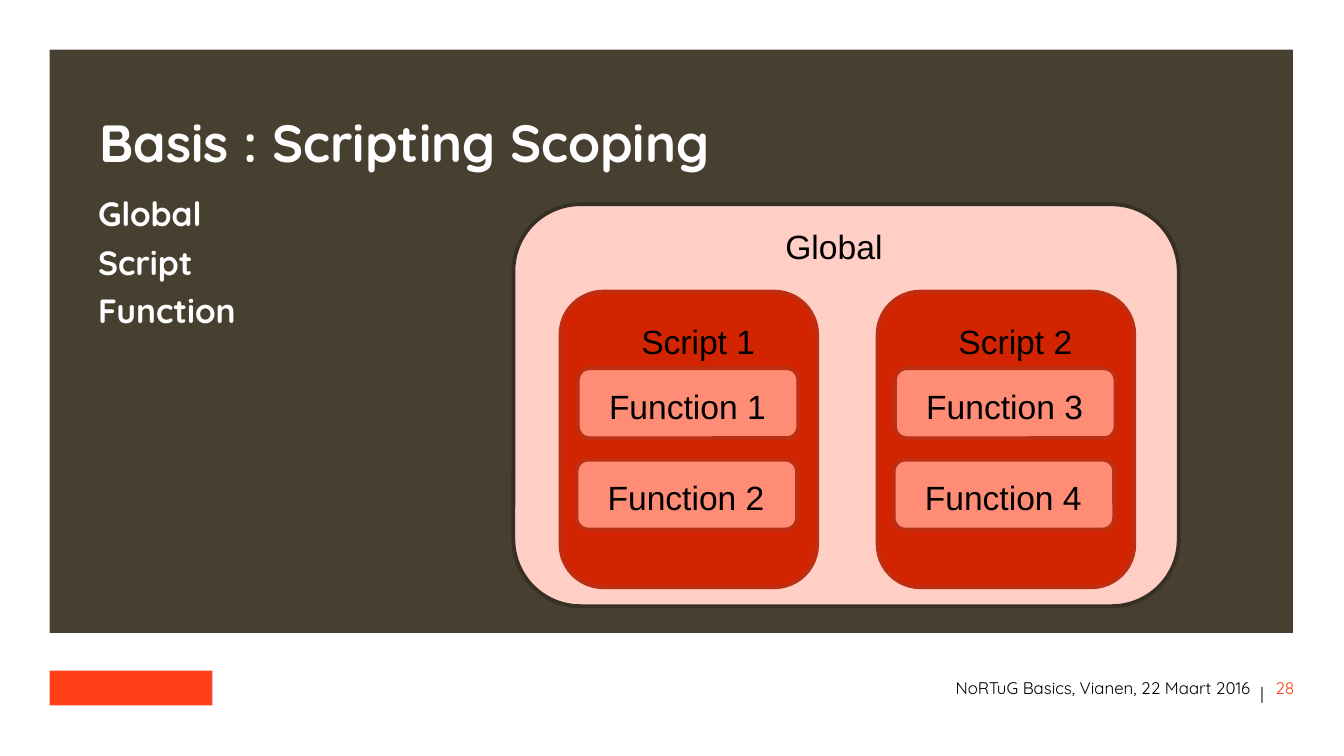
from dataclasses import dataclass

from pptx import Presentation
from pptx.dml.color import RGBColor
from pptx.enum import shapes, text
from pptx.util import Inches, Pt


@dataclass(frozen=True)
class Theme:
    panel: str = "474030"
    accent: str = "FF4019"
    white: str = "FFFFFF"
    black: str = "000000"
    global_fill: str = "FFCFC5"
    global_line: str = "352F24"
    script_fill: str = "D22400"
    function_fill: str = "FF8C75"
    inner_line: str = "BD2F12"
    brand_font: str = "Quicksand"
    label_font: str = "Arial"
    title_size: int = 28
    body_size: int = 18
    footer_size: int = 9


@dataclass(frozen=True)
class Box:
    left: float
    top: float
    width: float
    height: float


@dataclass(frozen=True)
class TextStyle:
    size: int
    color: str
    font: str = Theme.brand_font
    bold: bool = False
    align: text.PP_ALIGN = text.PP_ALIGN.LEFT
    line_pt: float | None = None
    after_pt: float = 0
    inset: tuple[float, float] = (0, 0)


@dataclass(frozen=True)
class Script:
    name: str
    left: float
    functions: tuple[str, ...]


THEME = Theme()
ALIGN = text.PP_ALIGN
TITLE = TextStyle(THEME.title_size, THEME.white, bold=True, line_pt=50)
BODY = TextStyle(THEME.body_size, THEME.white, bold=True, line_pt=20, after_pt=6)
LABEL = TextStyle(THEME.body_size, THEME.black, THEME.label_font,
                  align=ALIGN.CENTER, inset=(0.1, 0.05))
FOOTER = TextStyle(THEME.footer_size, THEME.black, align=ALIGN.RIGHT, line_pt=14)
BAR = TextStyle(THEME.footer_size, THEME.black, align=ALIGN.CENTER, line_pt=14)
PAGE = TextStyle(THEME.footer_size, THEME.accent, align=ALIGN.RIGHT, line_pt=14)

SCRIPTS = (
    Script("Script 1", 4.17, ("Function 1", "Function 2")),
    Script("Script 2", 6.53, ("Function 3", "Function 4")),
)
FUNCTION_STEP = 0.68
SLIDE_WIDTH = 10


def inches(box: Box) -> tuple:
    return tuple(Inches(v) for v in (box.left, box.top, box.width, box.height))


def add_block(slide, box: Box, fill: str, line: str | None = None,
              rounded: bool = False) -> None:
    kind = shapes.MSO_SHAPE.ROUNDED_RECTANGLE if rounded else shapes.MSO_SHAPE.RECTANGLE
    sp = slide.shapes.add_shape(kind, *inches(box))
    sp.shadow.inherit = False
    sp.fill.solid()
    sp.fill.fore_color.rgb = RGBColor.from_string(fill)
    if line:
        sp.line.color.rgb = RGBColor.from_string(line)
        sp.line.width = Pt(2)
    else:
        sp.line.fill.background()


def add_text(slide, box: Box, content: str, style: TextStyle) -> None:
    tf = slide.shapes.add_textbox(*inches(box)).text_frame
    tf.word_wrap = True
    tf.margin_left = tf.margin_right = Inches(style.inset[0])
    tf.margin_top = tf.margin_bottom = Inches(style.inset[1])
    tf.text = content
    for p in tf.paragraphs:
        p.alignment = style.align
        p.space_after = Pt(style.after_pt)
        if style.line_pt:
            p.line_spacing = Pt(style.line_pt)
        for r in p.runs:
            r.font.name = style.font
            r.font.size = Pt(style.size)
            r.font.bold = style.bold
            r.font.color.rgb = RGBColor.from_string(style.color)


def add_label(slide, left: float, top: float, content: str) -> None:
    add_text(slide, Box(left, top, 1.79, 0.4), content, LABEL)


def add_script(slide, script: Script) -> None:
    """Draw a script scope with its function scopes inside."""
    x = script.left
    add_block(slide, Box(x, 2.17, 1.91, 2.2), THEME.script_fill, THEME.inner_line, True)
    add_label(slide, x + 0.13, 2.34, script.name)
    for i, name in enumerate(script.functions):
        left, top = x + 0.13 - 0.01 * i, 2.74 + FUNCTION_STEP * i
        add_block(slide, Box(left, top, 1.64, 0.52),
                  THEME.function_fill, THEME.inner_line, True)
        add_label(slide, left - 0.08, top + 0.08, name)


def main() -> None:
    prs = Presentation()
    prs.slide_width = Inches(SLIDE_WIDTH)
    prs.slide_height = Inches(SLIDE_WIDTH * 9 / 16)
    slide = prs.slides.add_slide(prs.slide_layouts[6])

    add_block(slide, Box(0.37, 0.37, 9.25, 4.34), THEME.panel)
    add_text(slide, Box(0.74, 0.59, 8.57, 0.63), "Basis : Scripting Scoping", TITLE)
    add_text(slide, Box(0.73, 1.46, 8.66, 3.19), "Global\nScript\nFunction", BODY)

    add_block(slide, Box(3.82, 1.52, 4.95, 2.99),
              THEME.global_fill, THEME.global_line, True)
    add_label(slide, 5.31, 1.63, "Global")
    for script in SCRIPTS:
        add_script(slide, script)

    add_block(slide, Box(0.37, 4.99, 1.21, 0.26), THEME.accent)
    add_text(slide, Box(2.06, 5.0, 7.24, 0.21),
             "NoRTuG Basics, Vianen, 22 Maart 2016", FOOTER)
    add_text(slide, Box(9.3, 5.04, 0.18, 0.21), "|", BAR)
    add_text(slide, Box(9.39, 5.0, 0.24, 0.21), "28", PAGE)

    prs.save("out.pptx")


if __name__ == "__main__":
    main()
